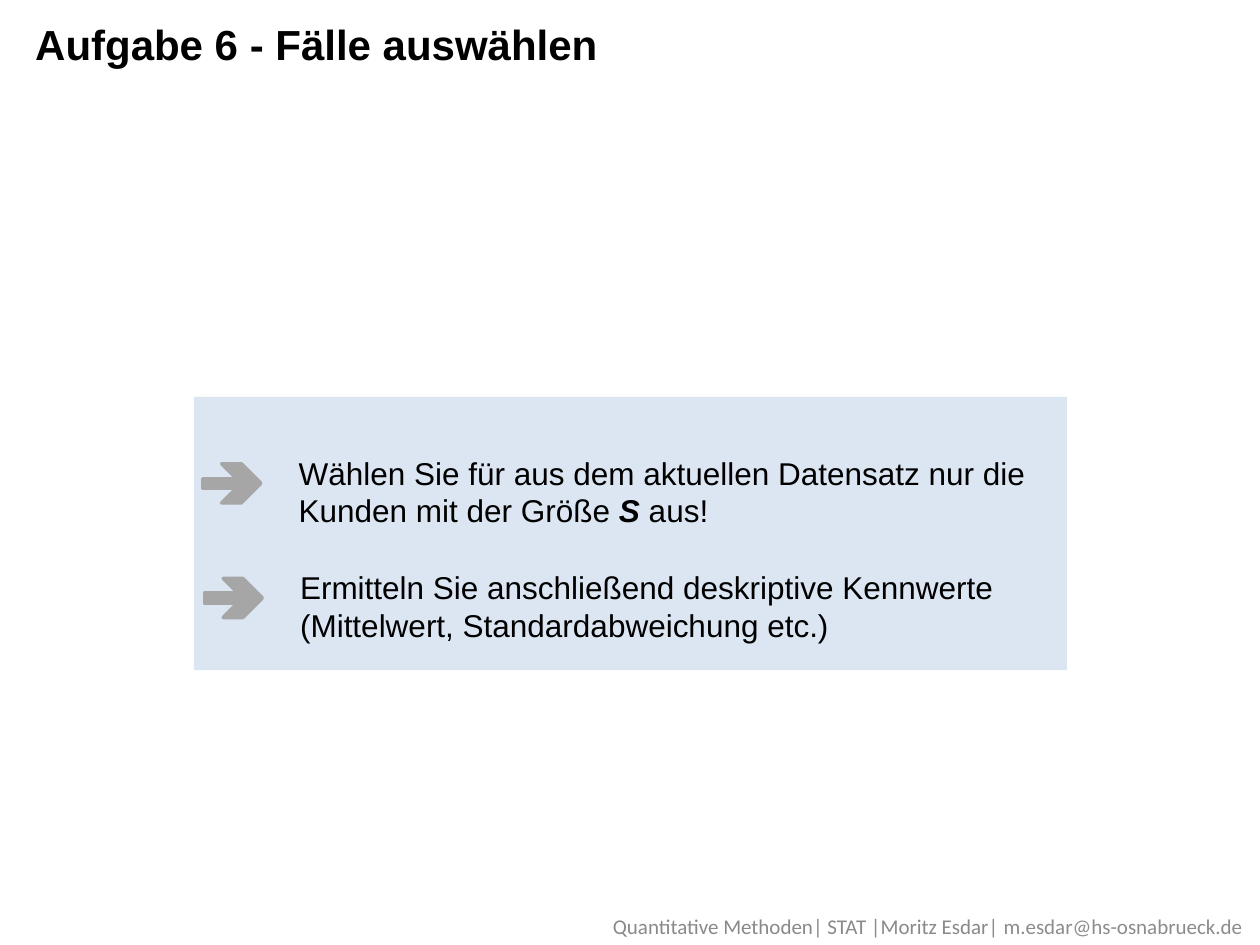
from dataclasses import dataclass

from pptx import Presentation
from pptx.dml.color import RGBColor
from pptx.enum.shapes import MSO_SHAPE
from pptx.enum.text import MSO_ANCHOR, PP_ALIGN
from pptx.util import Cm, Pt

RECT, CHEVRON = MSO_SHAPE.RECTANGLE, MSO_SHAPE.CHEVRON
TOP, MIDDLE = MSO_ANCHOR.TOP, MSO_ANCHOR.MIDDLE
LEFT, RIGHT = PP_ALIGN.LEFT, PP_ALIGN.RIGHT


@dataclass(frozen=True)
class Theme:
    ink: str = "000000"
    panel: str = "DCE6F2"
    arrow: str = "A6A6A6"
    muted: str = "898989"
    mail: str = "8C8C8C"
    body_font: str = "Arial"
    foot_font: str = "Calibri"
    title_size: int = 24
    body_size: int = 18
    foot_size: int = 12
    edge: int = 2


class Page:
    def __init__(self, slide, theme):
        self.slide = slide
        self.theme = theme

    def block(self, kind, box, color, edge=0, group=None):
        """Draw a filled preset shape, on the slide or inside a group."""
        parent = group or self.slide
        shape = parent.shapes.add_shape(kind, *map(Cm, box))
        shape.shadow.inherit = False
        shape.fill.solid()
        shape.fill.fore_color.rgb = RGBColor.from_string(color)
        if edge:
            shape.line.color.rgb = RGBColor.from_string(color)
            shape.line.width = Pt(edge)
        else:
            shape.line.fill.background()

    def text(self, box, parts, size, font, align=LEFT, anchor=TOP):
        """Write one paragraph; each part is (text, colour, bold, italic)."""
        frame = self.slide.shapes.add_textbox(*map(Cm, box)).text_frame
        frame.word_wrap = True
        frame.vertical_anchor = anchor
        para = frame.paragraphs[0]
        para.alignment = align
        for words, color, bold, italic in parts:
            run = para.add_run()
            run.text = words
            run.font.name = font
            run.font.size = Pt(size)
            run.font.bold = bold
            run.font.italic = italic
            run.font.color.rgb = RGBColor.from_string(color)

    def arrow(self, left, top):
        group = self.slide.shapes.add_group_shape()
        look = (self.theme.arrow, self.theme.edge, group)
        self.block(RECT, (left, top + 0.3, 1, 0.2), *look)
        self.block(CHEVRON, (left + 0.38, top, 0.79, 0.79), *look)

    def task(self, left, top, parts):
        """Place an arrow and the task it points to."""
        style = self.theme
        self.text((left + 1.68, top, 16.84, 1.8), parts,
                  style.body_size, style.body_font)
        self.arrow(left, top + 0.33)


def main():
    deck = Presentation()
    deck.slide_width, deck.slide_height = Cm(25.4), Cm(19.05)
    style = Theme()
    page = Page(deck.slides.add_slide(deck.slide_layouts[6]), style)

    page.block(RECT, (3.91, 8, 17.6, 5.51), style.panel)
    page.text((0.46, 0.25, 21.41, 1.3),
              [("Aufgabe 6 - Fälle auswählen", style.ink, True, False)],
              style.title_size, style.body_font)

    tasks = [
        [("Wählen Sie für aus dem aktuellen Datensatz nur die Kunden "
          "mit der Größe ", style.ink, False, False),
         ("S", style.ink, True, True),
         (" aus!", style.ink, False, False)],
        [("Ermitteln Sie anschließend deskriptive Kennwerte "
          "(Mittelwert, Standardabweichung etc.)", style.ink, False, False)],
    ]
    for row, parts in enumerate(tasks):
        page.task(4.09 + 0.03 * row, 9.02 + 2.31 * row, parts)

    page.text((0, 18.26, 25.3, 0.81),
              [("Quantitative Methoden| STAT |Moritz Esdar| ",
                style.muted, False, False),
               ("m.esdar@hs-osnabrueck.de", style.mail, False, False)],
              style.foot_size, style.foot_font, RIGHT, MIDDLE)

    deck.save("out.pptx")


if __name__ == "__main__":
    main()
